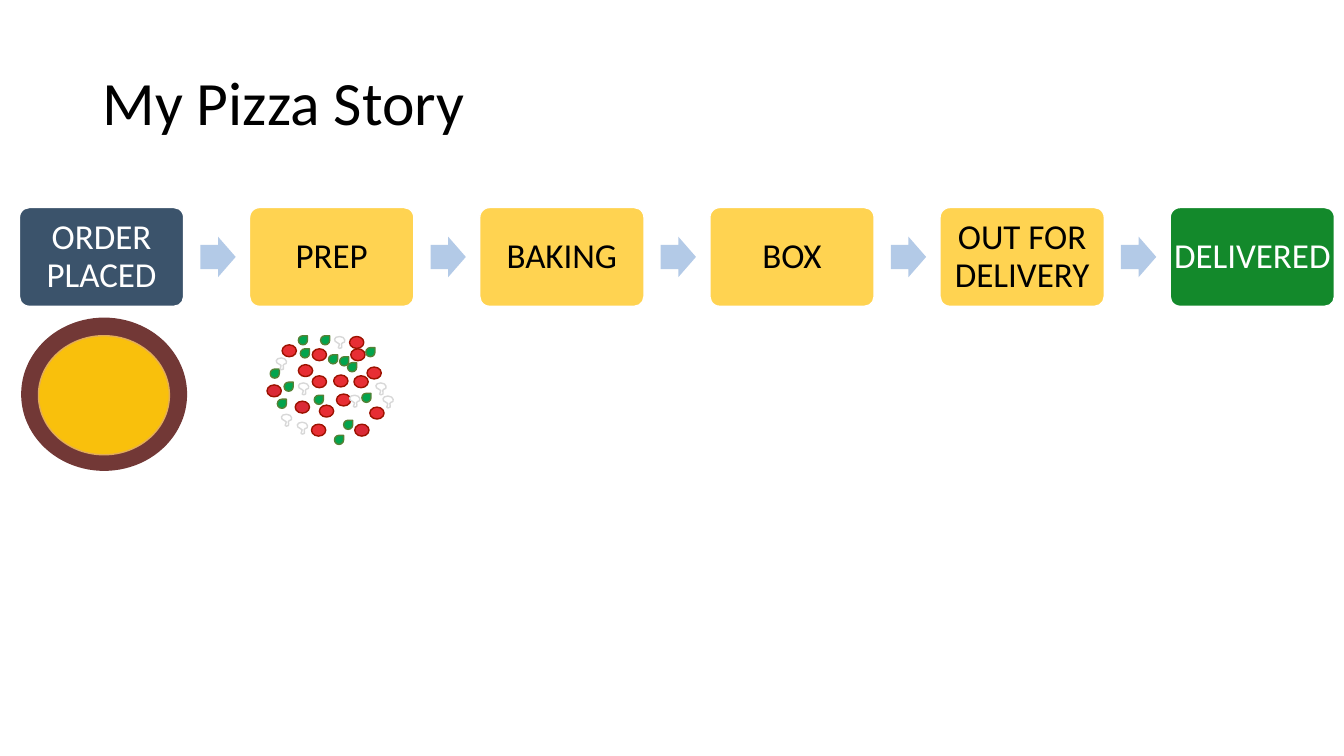
from lxml.etree import SubElement
from pptx import Presentation
from pptx.dml.color import RGBColor
from pptx.enum.shapes import MSO_SHAPE as Shape
from pptx.enum.text import MSO_ANCHOR as Anchor, PP_ALIGN as Align
from pptx.oxml.ns import qn
from pptx.util import Cm, Pt

COLORS = {
    "black": "000000", "white": "FFFFFF", "navy": "3B536B", "yellow": "FFD351",
    "green": "13892B", "arrow": "B3CAE7", "crust": "723836", "crust_edge": "E4AD56",
    "cheese": "F9C00C", "tomato": "E72E34", "dark_tomato": "DA2A37",
    "tomato_edge": "9C1200", "basil": "02A44D", "basil_edge": "548135",
    "mushroom_edge": "D8D8D8",
}
FONT = "Calibri"
TITLE = "My Pizza Story"
STEPS = [
    ("ORDER PLACED", "navy", "white"),
    ("PREP", "yellow", "black"),
    ("BAKING", "yellow", "black"),
    ("BOX", "yellow", "black"),
    ("OUT FOR DELIVERY", "yellow", "black"),
    ("DELIVERED", "green", "white"),
]
TOMATOES = [
    (7.87, 9.47), (7.52, 9.19), (8.48, 9.93), (8.05, 10.21), (7.87, 8.79),
    (7.85, 10.69), (8.92, 9.47), (8.41, 9.45), (9.25, 9.25), (9.32, 10.26),
    (7.11, 8.69), (8.81, 8.48), (8.84, 8.79),
]
DARK_TOMATOES = [(7.44, 10.11), (6.73, 9.7), (8.94, 10.69)]
BASIL_LEAVES = [
    (7.92, 9.96), (8.66, 10.59), (6.99, 10.06), (9.12, 9.91), (8.76, 9.14),
    (8.43, 10.97), (8.08, 8.46), (7.57, 8.79), (6.81, 9.3), (7.16, 9.63),
    (9.22, 8.76), (8.56, 8.99), (8.28, 8.94), (7.52, 8.46),
]
MUSHROOMS = [
    (8.43, 8.48), (9.65, 9.98), (8.81, 9.96), (7.52, 9.65),
    (6.96, 9.02), (7.09, 10.44), (9.47, 9.65), (7.49, 10.64),
]
TOPPINGS = [
    (Shape.OVAL, TOMATOES, 0.36, 0.3, "tomato", "tomato_edge"),
    (Shape.OVAL, DARK_TOMATOES, 0.36, 0.3, "dark_tomato", "tomato_edge"),
    (Shape.TEAR, BASIL_LEAVES, 0.23, 0.23, "basil", "basil_edge"),
]
MUSHROOM_WIDTH, MUSHROOM_HEIGHT = 0.25, 0.3
MUSHROOM_PATH = [
    ("moveTo", [(0.08, 0.16)]),
    ("cubicBezTo", [(-0.03, 0.13), (-0.03, 0), (0.13, 0)]),
    ("cubicBezTo", [(0.28, 0), (0.3, 0.17), (0.2, 0.16)]),
    ("cubicBezTo", [(0.13, 0.18), (0.25, 0.3), (0.13, 0.3)]),
    ("cubicBezTo", [(0.03, 0.3), (0.2, 0.18), (0.08, 0.16)]),
    ("close", []),
]

STEP_LEFT, STEP_TOP, STEP_PITCH = 0.49, 5.23, 5.8
STEP_WIDTH, STEP_HEIGHT = 4.14, 2.49
ARROW_OFFSET, ARROW_WIDTH, ARROW_HEIGHT = 4.56, 0.89, 1.02


def color(name):
    return RGBColor.from_string(COLORS[name])


def paint(shape, fill, line=None, width=1):
    shape.shadow.inherit = False
    shape.fill.solid()
    shape.fill.fore_color.rgb = color(fill)
    if line:
        shape.line.color.rgb = color(line)
        shape.line.width = Pt(width)
    else:
        shape.line.fill.background()


def add_shape(slide, kind, left, top, width, height, fill, line=None, line_width=1):
    shape = slide.shapes.add_shape(kind, Cm(left), Cm(top), Cm(width), Cm(height))
    paint(shape, fill, line, line_width)
    return shape


def write(shape, text, size, text_color, align):
    frame = shape.text_frame
    frame.word_wrap = True
    frame.vertical_anchor = Anchor.MIDDLE
    paragraph = frame.paragraphs[0]
    paragraph.alignment = align
    paragraph.line_spacing = 0.9
    run = paragraph.add_run()
    run.text = text
    run.font.name = FONT
    run.font.size = Pt(size)
    run.font.color.rgb = color(text_color)


def add_title(slide):
    title = slide.shapes.title
    title.left, title.top, title.width, title.height = Cm(2.33), Cm(1.5), Cm(29.21), Cm(2.33)
    write(title, TITLE, 44, "black", Align.LEFT)


def add_steps(slide):
    arrow_top = STEP_TOP + (STEP_HEIGHT - ARROW_HEIGHT) / 2
    for index, (label, fill, text_color) in enumerate(STEPS):
        left = STEP_LEFT + index * STEP_PITCH
        box = add_shape(slide, Shape.ROUNDED_RECTANGLE, left, STEP_TOP,
                        STEP_WIDTH, STEP_HEIGHT, fill, "white")
        box.adjustments[0] = 0.1
        frame = box.text_frame
        frame.margin_left = frame.margin_right = frame.margin_top = frame.margin_bottom = 0
        write(box, label, 25, text_color, Align.CENTER)
        if index < len(STEPS) - 1:
            arrow = add_shape(slide, Shape.RIGHT_ARROW, left + ARROW_OFFSET, arrow_top,
                              ARROW_WIDTH, ARROW_HEIGHT, "arrow")
            arrow.adjustments[0] = 0.6
            arrow.adjustments[1] = 0.5


def add_base(slide):
    crust = add_shape(slide, Shape.DONUT, 0.71, 8.18, 3.83, 3.51, "crust_edge", "crust", 10)
    crust.adjustments[0] = 0.07
    add_shape(slide, Shape.OVAL, 0.97, 8.46, 3.3, 3, "cheese", "crust_edge")


def add_mushroom(slide, left, top):
    right, bottom = left + MUSHROOM_WIDTH, top + MUSHROOM_HEIGHT
    builder = slide.shapes.build_freeform(Cm(left), Cm(top))
    builder.add_line_segments([(Cm(right), Cm(top)), (Cm(right), Cm(bottom))])
    mushroom = builder.convert_to_shape()
    outline = next(mushroom.element.iter(qn("a:path")))
    for segment in list(outline):
        outline.remove(segment)
    for command, points in MUSHROOM_PATH:
        segment = SubElement(outline, qn(f"a:{command}"))
        for x, y in points:
            SubElement(segment, qn("a:pt"), x=str(int(Cm(x))), y=str(int(Cm(y))))
    paint(mushroom, "white", "mushroom_edge")


def add_toppings(slide):
    for kind, places, width, height, fill, line in TOPPINGS:
        for left, top in places:
            add_shape(slide, kind, left, top, width, height, fill, line)
    for left, top in MUSHROOMS:
        add_mushroom(slide, left, top)


def main():
    presentation = Presentation()
    presentation.slide_width, presentation.slide_height = Cm(33.87), Cm(19.05)
    slide = presentation.slides.add_slide(presentation.slide_layouts[5])
    add_title(slide)
    add_steps(slide)
    add_base(slide)
    add_toppings(slide)
    presentation.save("out.pptx")


if __name__ == "__main__":
    main()
